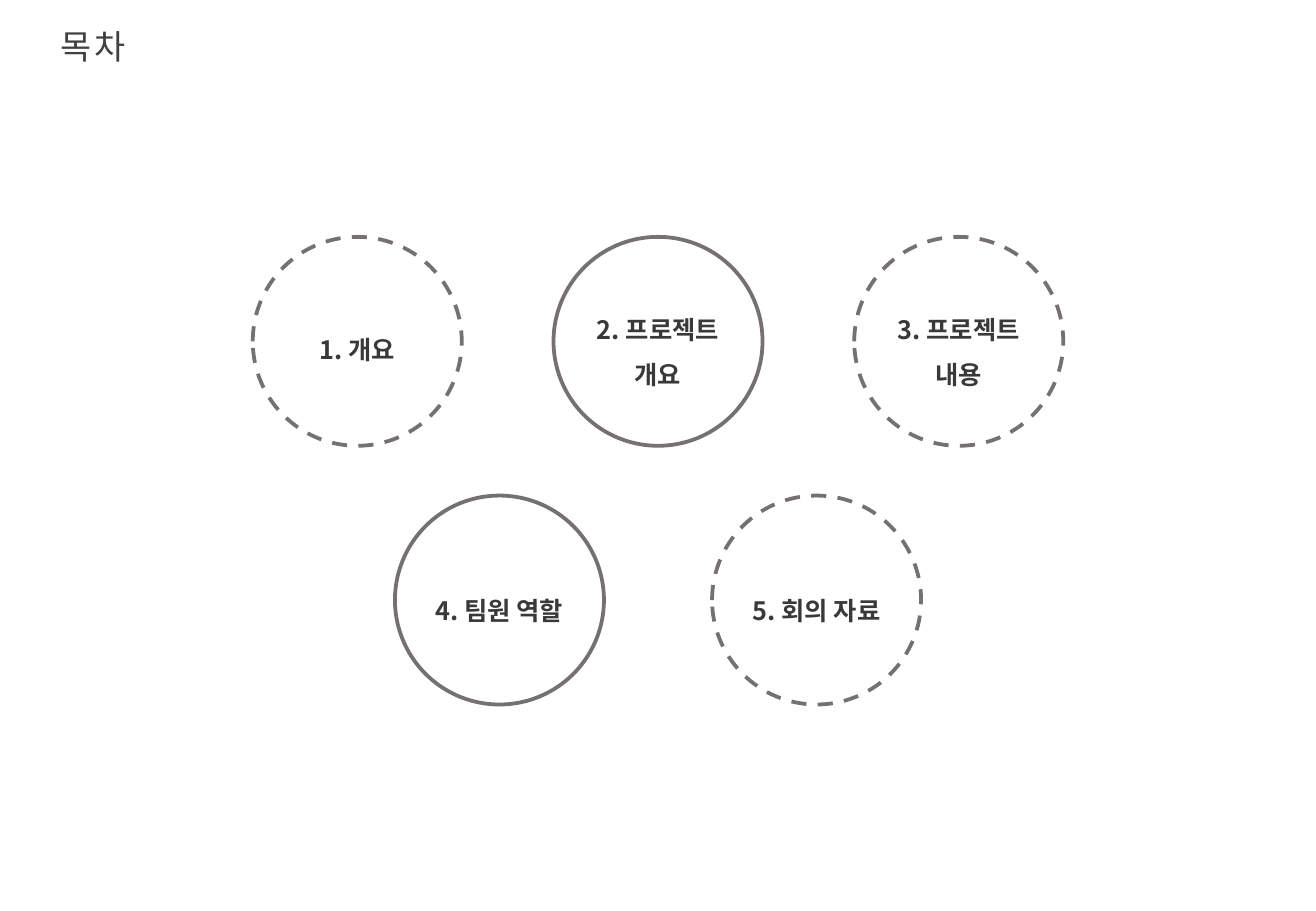
import pptx
import pptx.util
from pptx.dml.color import RGBColor
from pptx.enum.dml import MSO_LINE
from pptx.enum.shapes import MSO_SHAPE
from pptx.enum.text import MSO_AUTO_SIZE, PP_ALIGN
from pptx.oxml.ns import qn
from pptx.util import Inches

TITLE = "목 차"
# Each row: left of first circle, step between circles, top, label offset, topics.
# Each topic: paragraphs, lines shown, dashed outline.
ROWS = [
    (2.08, 2.475, 1.95, 0.63, [
        (["1. 개요"], 1, True),
        (["2. 프로젝트 개요"], 2, False),
        (["3. 프로젝트", "내용"], 2, True),
    ]),
    (3.25, 2.61, 4.08, 0.65, [
        (["4. 팀원 역할"], 1, False),
        (["5. 회의 자료"], 1, True),
    ]),
]
COLORS = {"title": "404040", "label": "3B3838", "outline": "767171"}
FONT = "Noto Sans CJK KR"
DIAMETER = 1.72
LABEL_WIDTH = 1.41
LABEL_HEIGHTS = {1: 0.43, 2: 0.81}
TWO_LINE_OFFSET = 0.46


def add_text(slide, paragraphs, left, top, width, height, *, size, color,
             bold=False, align=PP_ALIGN.LEFT, line_spacing=None, tracking=None):
    """Tracking is the letter spacing in hundredths of a point."""
    box = slide.shapes.add_textbox(*map(Inches, (left, top, width, height)))
    frame = box.text_frame
    frame.word_wrap = True
    frame.auto_size = MSO_AUTO_SIZE.SHAPE_TO_FIT_TEXT
    for index, text in enumerate(paragraphs):
        paragraph = frame.add_paragraph() if index else frame.paragraphs[0]
        paragraph.alignment = align
        paragraph.line_spacing = line_spacing
        run = paragraph.add_run()
        run.text = text
        run.font.size = pptx.util.Pt(size)
        run.font.bold = bold
        run.font.color.rgb = RGBColor.from_string(color)
        run.font.name = FONT
        properties = run.font._element
        east_asian = properties.makeelement(qn("a:ea"), {"typeface": FONT})
        properties.find(qn("a:latin")).addnext(east_asian)
        if tracking is not None:
            properties.set("spc", str(tracking))


def add_circle(slide, left, top, dashed):
    circle = slide.shapes.add_shape(
        MSO_SHAPE.OVAL, *map(Inches, (left, top, DIAMETER, DIAMETER)))
    circle.shadow.inherit = False
    circle.fill.background()
    circle.line.color.rgb = RGBColor.from_string(COLORS["outline"])
    circle.line.width = pptx.util.Pt(2.25)
    if dashed:
        circle.line.dash_style = MSO_LINE.DASH


def main():
    presentation = pptx.Presentation()
    presentation.slide_width = Inches(10.83)
    presentation.slide_height = Inches(7.5)
    slide = presentation.slides.add_slide(presentation.slide_layouts[6])

    add_text(slide, [TITLE], 0.4, 0.16, 1.06, 0.44,
             size=20, color=COLORS["title"], tracking=-150)
    for first_left, step, top, one_line_offset, topics in ROWS:
        for column, (paragraphs, lines, dashed) in enumerate(topics):
            left = first_left + column * step
            add_circle(slide, left, top, dashed)
            offset = one_line_offset if lines == 1 else TWO_LINE_OFFSET
            add_text(slide, paragraphs, left + (DIAMETER - LABEL_WIDTH) / 2,
                     top + offset, LABEL_WIDTH, LABEL_HEIGHTS[lines],
                     size=15, color=COLORS["label"], bold=True,
                     align=PP_ALIGN.CENTER, line_spacing=1.5)
    presentation.save("out.pptx")


if __name__ == "__main__":
    main()
